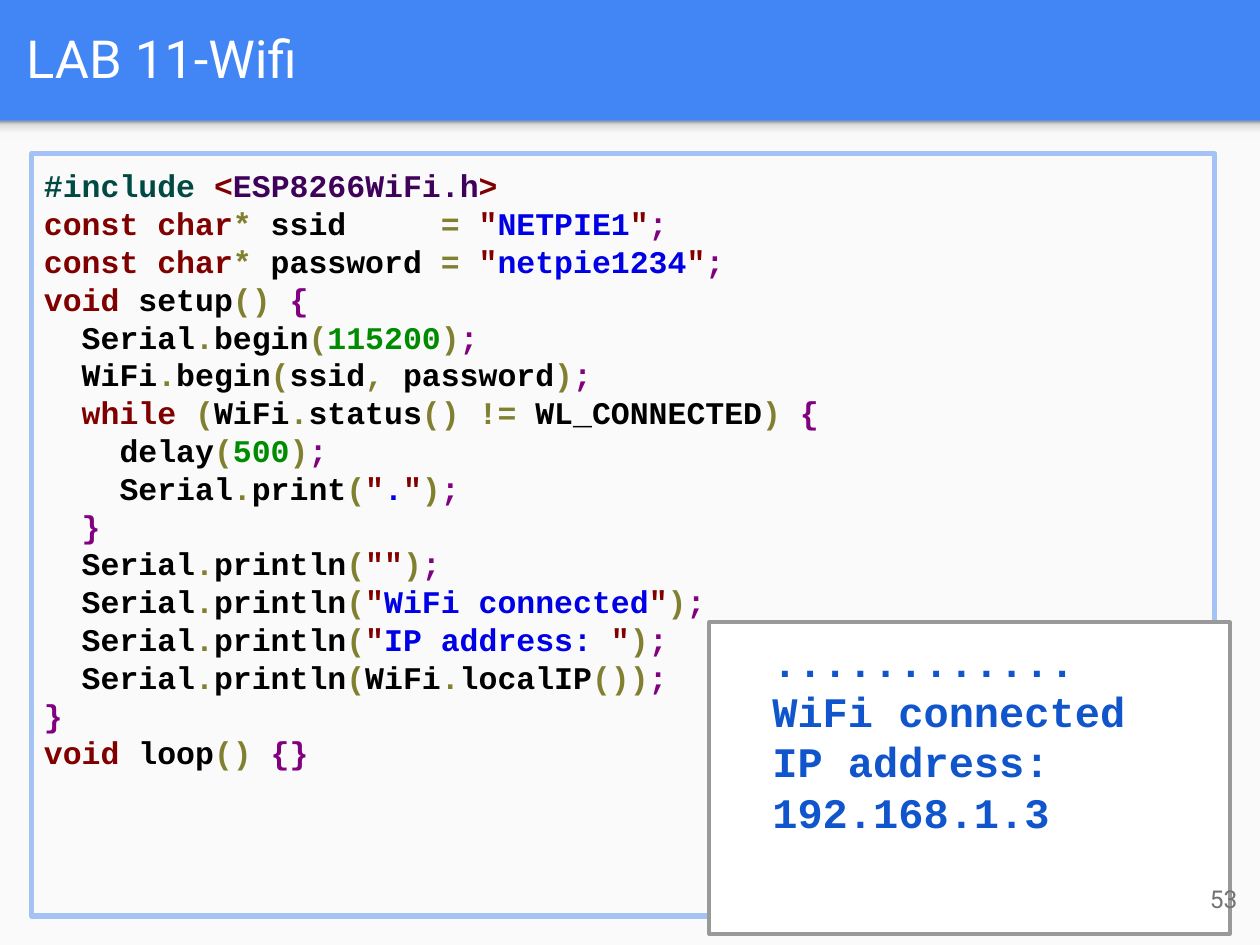
"""Build the LAB 11 Wifi slide: a highlighted sketch with its serial output."""
from copy import deepcopy
from dataclasses import dataclass
from itertools import groupby
from typing import Iterator, Optional

from pptx import Presentation
from pptx import util as u
from pptx.dml.color import RGBColor
from pptx.enum import shapes, text

MONO, SANS = "Courier New", "Roboto"
KEYWORDS = {"const", "char", "void", "while"}
COLOURS = {"keyword": "800000", "quote": "800000", "name": "000000", "sign": "808030",
           "string": "0000E6", "number": "008C00", "mark": "800080"}
INCLUDE = [("#include ", "004A43"), ("<", "800000"), ("ESP8266WiFi.h", "40015A"), (">", "800000")]
SKETCH = '''const char* ssid     = "NETPIE1";
const char* password = "netpie1234";
void setup() {
  Serial.begin(115200);
  WiFi.begin(ssid, password);
  while (WiFi.status() != WL_CONNECTED) {
    delay(500);
    Serial.print(".");
  }
  Serial.println("");
  Serial.println("WiFi connected");
  Serial.println("IP address: ");
  Serial.println(WiFi.localIP());
}
void loop() {}'''
OUTPUT = "............\nWiFi connected\nIP address:\n192.168.1.3"
SHADE = [(0.36, "F9F9F9"), (0.8, "DEDEDE"), (1, "999999")]


@dataclass
class Box:
    left: float
    top: float
    width: float
    height: float
    fill: Optional[str] = None
    line: Optional[str] = None
    weight: float = 0


@dataclass
class Style:
    font: str
    size: float
    colour: str
    bold: bool = False


def rgb(value: str) -> RGBColor:
    return RGBColor.from_string(value)


def add_box(slide, box: Box):
    s = slide.shapes.add_shape(shapes.MSO_SHAPE.RECTANGLE, u.Inches(box.left), u.Inches(box.top),
                               u.Inches(box.width), u.Inches(box.height))
    s.shadow.inherit = False
    if box.fill:
        s.fill.solid()
        s.fill.fore_color.rgb = rgb(box.fill)
    else:
        s.fill.background()
    if box.line:
        s.line.color.rgb = rgb(box.line)
        s.line.width = u.Pt(box.weight)
    else:
        s.line.fill.background()
    return s


def add_shade(slide, box: Box) -> None:
    s = add_box(slide, box)
    s.fill.gradient()
    s.fill.gradient_angle = 90
    first = s.fill.gradient_stops[0]._gs
    first.addnext(deepcopy(first))
    for stop, (position, colour) in zip(s.fill.gradient_stops, SHADE):
        stop.position = position
        stop.color.rgb = rgb(colour)


def set_frame(tf, anchor=text.MSO_ANCHOR.TOP, left: float = 0.1) -> None:
    tf.word_wrap = True
    tf.vertical_anchor = anchor
    tf.margin_left = u.Inches(left)
    tf.margin_right = tf.margin_top = tf.margin_bottom = u.Inches(0.1)


def set_font(font, style: Style) -> None:
    font.name, font.size, font.bold = style.font, u.Pt(style.size), style.bold
    font.color.rgb = rgb(style.colour)


def write(tf, words: str, style: Style, align=text.PP_ALIGN.LEFT) -> None:
    tf.text = words
    for p in tf.paragraphs:
        p.alignment = align
        for r in p.runs:
            set_font(r.font, style)


def add_label(slide, box: Box, words: str, style: Style, align=text.PP_ALIGN.LEFT) -> None:
    s = slide.shapes.add_textbox(u.Inches(box.left), u.Inches(box.top),
                                 u.Inches(box.width), u.Inches(box.height))
    set_frame(s.text_frame, text.MSO_ANCHOR.MIDDLE)
    write(s.text_frame, words, style, align)


def char_kind(char: str) -> str:
    if char.isalnum() or char == "_":
        return "name"
    return "mark" if char in ";{}" else "sign"


def highlight(line: str) -> Iterator[tuple[str, str]]:
    for i, part in enumerate(line.split('"')):
        if i:
            yield '"', COLOURS["quote"]
        if i % 2:
            if part:
                yield part, COLOURS["string"]
            continue
        for kind, chars in groupby(part, char_kind):
            token = "".join(chars)
            if token in KEYWORDS:
                kind = "keyword"
            elif token.isdigit():
                kind = "number"
            yield token, COLOURS[kind]


def write_code(tf) -> None:
    p = tf.paragraphs[0]
    p.alignment = text.PP_ALIGN.LEFT
    lines = [INCLUDE, *map(highlight, SKETCH.split("\n"))]
    for i, line in enumerate(lines):
        if i:
            p.add_line_break()
        for token, colour in line:
            r = p.add_run()
            r.text = token
            set_font(r.font, Style(MONO, 18, colour, True))


def main() -> None:
    prs = Presentation()
    prs.slide_width, prs.slide_height = u.Inches(10), u.Inches(7.5)
    slide = prs.slides.add_slide(prs.slide_layouts[6])
    slide.background.fill.solid()
    slide.background.fill.fore_color.rgb = rgb("4285F4")

    add_box(slide, Box(0, 0.96, 10, 6.54, "FAFAFA"))
    add_shade(slide, Box(0, 0.96, 10, 0.16))
    add_label(slide, Box(0.11, 0.02, 9.65, 0.88), "LAB 11-Wifi", Style(SANS, 30, "FFFFFF"))

    code = add_box(slide, Box(0.25, 1.22, 9.39, 6.05, line="A4C2F4", weight=3))
    set_frame(code.text_frame)
    write_code(code.text_frame)

    output = add_box(slide, Box(5.63, 4.94, 4.13, 2.47, "FFFFFF", "999999", 2.25))
    set_frame(output.text_frame, left=0.5)
    write(output.text_frame, OUTPUT, Style(MONO, 24, "1155CC", True))

    add_label(slide, Box(9.32, 6.85, 0.6, 0.57), "53", Style(SANS, 14, "737373"),
              text.PP_ALIGN.RIGHT)
    prs.save("out.pptx")


if __name__ == "__main__":
    main()
